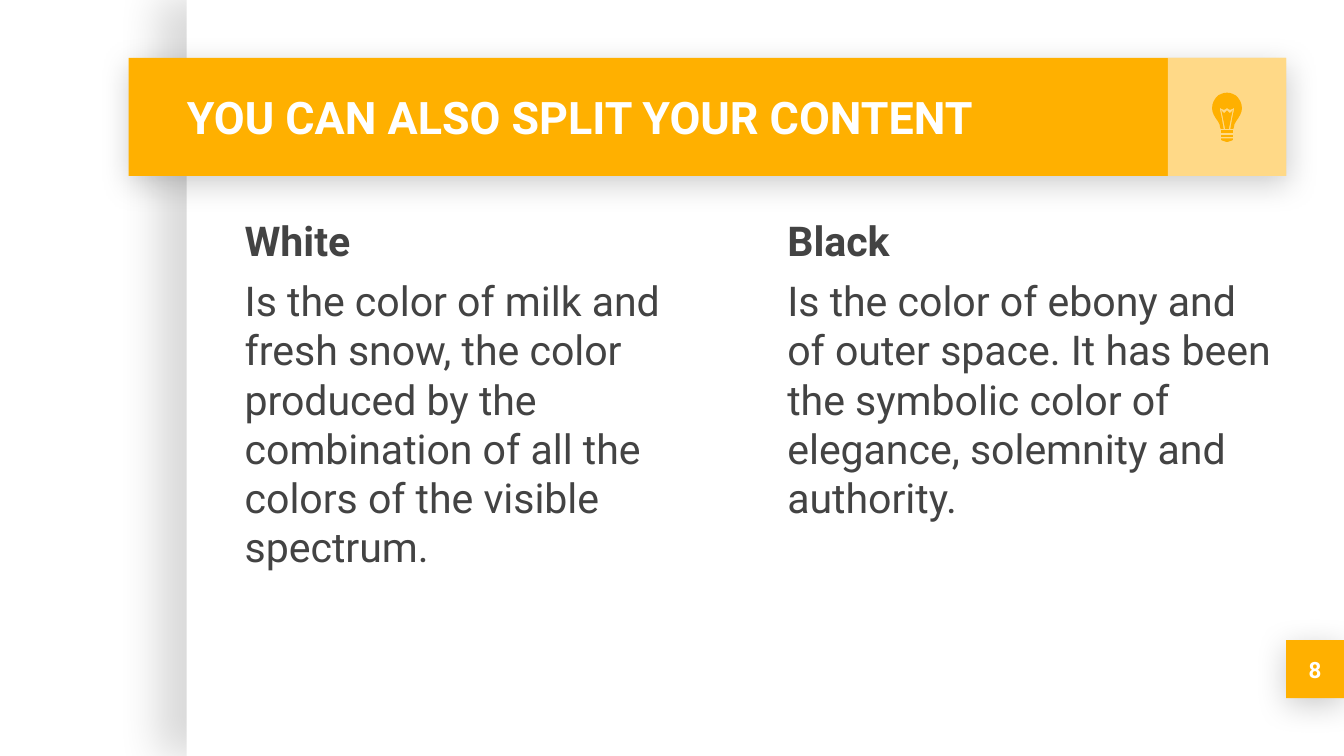
import lxml.etree
import pptx
import pptx.dml.color
import pptx.enum.shapes
import pptx.enum.text
import pptx.oxml.ns
import pptx.util

Pt = pptx.util.Pt
Anchor = pptx.enum.text.MSO_ANCHOR
Align = pptx.enum.text.PP_ALIGN

TITLE = "YOU CAN ALSO SPLIT YOUR CONTENT"
PAGE = "8"
COLUMNS = [
    ("White", "Is the color of milk and fresh snow, the color produced by "
              "the combination of all the colors of the visible spectrum."),
    ("Black", "Is the color of ebony and of outer space. It has been the "
              "symbolic color of elegance, solemnity and authority."),
]

THEME = {
    "font": "Roboto", "accent": "FFB000", "white": "FFFFFF",
    "ink": "434343", "shade": "000000",
    "title": 24, "body": 22, "page": 12,
}
# Shadows: opacity %, blur, distance, direction in degrees
SIDE = (15, 22.5, 15, 180)
DROP = (20, 16.9, 3.8, 90)

WIDE, HIGH = 720, 405
EDGE = 100                      # left edge of the white sheet
BAR_X, BAR_Y, BAR_W, BAR_H = 69, 31, 620, 63.3
BAR_END = BAR_X + BAR_W
TAB = WIDE - BAR_END            # side of the page number square
COL_X, COL_Y, COL_W, COL_H = 124, 108, 274.3, 266.4
COL_STEP = BAR_END - COL_W - COL_X
BULB_X, BULB_Y = BAR_END - BAR_H / 2, 49.7

# Right halves of the bulb parts, from the axis (x = 0) and the bulb top
GLASS = [(0, 0), (1.5, 0.1), (3, 0.6), (4.6, 1.4), (6, 2.8), (7.1, 4.5),
         (7.8, 6.4), (8, 8.3), (7.8, 10), (7.1, 11.8), (6, 13.7),
         (4.7, 15.6), (4, 17), (3.7, 18.5), (3.4, 19.4), (1.8, 19.4),
         (2.9, 13), (3.9, 8.6), (3.5, 8.1), (3, 8.6), (1.6, 9.2),
         (0.4, 8.6), (0, 8)]
WIRE = [(0, 9.5), (1.4, 10.8), (2, 10.6), (3, 9.4), (1, 19.4)]
RINGS = [[(3.2, top), (3.2, top + 1.5)] for top in (20.2, 22.4)]
CAP = [(3.2, 24.5), (3.2, 25.1), (2.9, 25.5), (0.5, 26.3)]
BULB = [GLASS, WIRE, *RINGS, CAP]


def paint(shape, color):
    shape.shadow.inherit = False
    shape.fill.solid()
    shape.fill.fore_color.rgb = pptx.dml.color.RGBColor.from_string(color)
    shape.line.fill.background()


def fade(node, share):
    """Set the opacity, in percent, of a colour element."""
    alpha = lxml.etree.SubElement(node, pptx.oxml.ns.qn("a:alpha"))
    alpha.set("val", str(share * 1000))


def cast(shape, shadow):
    """Give the shape an outer shadow."""
    share, blur, dist, angle = shadow
    qn = pptx.oxml.ns.qn
    effects = shape._element.spPr.find(qn("a:effectLst"))
    outer = lxml.etree.SubElement(
        effects, qn("a:outerShdw"), blurRad=str(Pt(blur)), dist=str(Pt(dist)),
        dir=str(angle * 60000), algn="bl", rotWithShape="0")
    color = lxml.etree.SubElement(outer, qn("a:srgbClr"), val=THEME["shade"])
    fade(color, share)


def add_box(slide, x, y, w, h, color, shadow=None):
    kind = pptx.enum.shapes.MSO_SHAPE.RECTANGLE
    box = slide.shapes.add_shape(kind, Pt(x), Pt(y), Pt(w), Pt(h))
    paint(box, color)
    if shadow:
        cast(box, shadow)
    return box


def write(shape, lines, size, color, anchor=Anchor.TOP, align=Align.LEFT,
          gap=0):
    """Fill the shape with (text, bold) lines, one paragraph each."""
    frame = shape.text_frame
    frame.word_wrap = True
    frame.vertical_anchor = anchor
    frame.margin_left = frame.margin_right = Pt(7.2)
    frame.margin_top = frame.margin_bottom = Pt(7.2)
    for i, (text, bold) in enumerate(lines):
        para = frame.add_paragraph() if i else frame.paragraphs[0]
        para.alignment = align
        para.space_before = Pt(gap)
        run = para.add_run()
        run.text = text
        run.font.name = THEME["font"]
        run.font.size = Pt(size)
        run.font.bold = bold
        run.font.color.rgb = pptx.dml.color.RGBColor.from_string(color)


def add_text(slide, x, y, w, h, *args, **style):
    box = slide.shapes.add_textbox(Pt(x), Pt(y), Pt(w), Pt(h))
    write(box, *args, **style)


def add_bulb(slide):
    group = slide.shapes.add_group_shape()
    for half in BULB:
        whole = half + [(-x, y) for x, y in reversed(half) if x]
        dots = [(Pt(BULB_X + x), Pt(BULB_Y + y)) for x, y in whole]
        pen = group.shapes.build_freeform(*dots[0])
        pen.add_line_segments(dots[1:], close=True)
        paint(pen.convert_to_shape(), THEME["accent"])


def main():
    deck = pptx.Presentation()
    deck.slide_width, deck.slide_height = Pt(WIDE), Pt(HIGH)
    slide = deck.slides.add_slide(deck.slide_layouts[6])
    accent, white = THEME["accent"], THEME["white"]

    add_box(slide, EDGE, 0, WIDE - EDGE, HIGH, white, SIDE)
    add_box(slide, BAR_X, BAR_Y, BAR_W, BAR_H, accent, DROP)
    tile = add_box(slide, BAR_END - BAR_H, BAR_Y, BAR_H, BAR_H, white)
    fade(tile.fill._xPr.find(".//" + pptx.oxml.ns.qn("a:srgbClr")), 53)

    add_text(slide, 93, BAR_Y, 530.6, BAR_H, [(TITLE, True)],
             THEME["title"], white, anchor=Anchor.MIDDLE)
    for i, (head, body) in enumerate(COLUMNS):
        add_text(slide, COL_X + i * COL_STEP, COL_Y, COL_W, COL_H,
                 [(head, True), (body, False)],
                 THEME["body"], THEME["ink"], gap=6)

    page = add_box(slide, BAR_END, 343, TAB, TAB, accent, DROP)
    write(page, [(PAGE, True)], THEME["page"], white,
          anchor=Anchor.MIDDLE, align=Align.CENTER)
    add_bulb(slide)
    deck.save("out.pptx")


if __name__ == "__main__":
    main()
